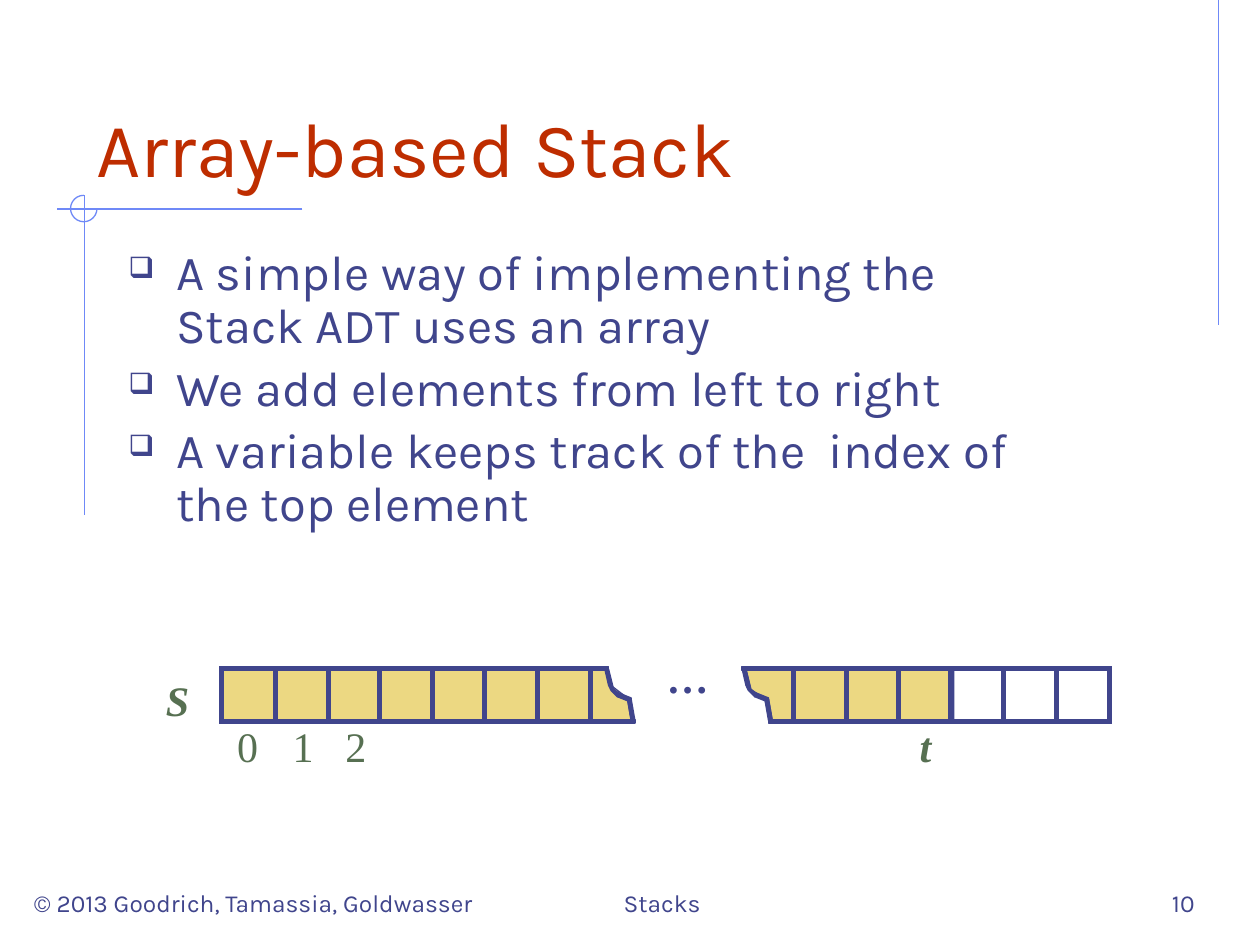
"""Builds a slide that explains a stack kept in an array."""
from lxml.etree import SubElement
from pptx import Presentation
from pptx.dml.color import RGBColor
from pptx.enum.shapes import MSO_CONNECTOR, MSO_SHAPE
from pptx.enum.text import MSO_ANCHOR, PP_ALIGN
from pptx.oxml.ns import qn
from pptx.util import Pt

PX = 9144
HUES = {"ink": "40458C", "title": "BE2D00", "rule": "6F89F7", "cell": "ECD882", "label": "577052"}
hue = {name: RGBColor.from_string(code) for name, code in HUES.items()}

deck = Presentation()
deck.slide_width, deck.slide_height = 1000 * PX, 750 * PX
slide = deck.slides.add_slide(deck.slide_layouts[6])
shapes = slide.shapes


def paint(shape, fill="ink", line="ink"):
    shape.shadow.inherit = False
    if fill:
        shape.fill.solid()
        shape.fill.fore_color.rgb = hue[fill]
    else:
        shape.fill.background()
    shape.line.color.rgb = hue[line]
    shape.line.width = Pt(0.75)


def write(box, lines, size, color="ink", face="Karla", align=PP_ALIGN.LEFT,
          anchor=MSO_ANCHOR.BOTTOM, inset=True, bold=False, slant=False):
    frame = shapes.add_textbox(*[n * PX for n in box]).text_frame
    frame.word_wrap = True
    frame.vertical_anchor = anchor
    if not inset:
        frame.margin_left = frame.margin_right = frame.margin_top = frame.margin_bottom = 0
    frame.text = "\n".join(lines)
    for para in frame.paragraphs:
        para.alignment = align
        font = para.font
        font.name, font.size = face, Pt(size)
        font.bold, font.italic = bold, slant
        font.color.rgb = hue[color]
    return frame


for ends in [(967, 0, 967, 258), (240, 166, 45, 166), (67, 155, 67, 409)]:
    rule = shapes.add_connector(MSO_CONNECTOR.STRAIGHT, *[n * PX for n in ends])
    rule.line.color.rgb = hue["rule"]
    rule.line.width = Pt(0.75)
    SubElement(rule._element.spPr, qn("a:effectLst"))

arc = shapes.add_shape(MSO_SHAPE.ARC, 56 * PX, 155 * PX, 21 * PX, 21 * PX)
arc.adjustments[0], arc.adjustments[1] = 0, 162
paint(arc, None, "rule")

write((392, 683, 267, 50), ["Stacks"], 14, align=PP_ALIGN.CENTER)
write((750, 683, 208, 50), ["10"], 14, align=PP_ALIGN.RIGHT)
write((17, 683, 375, 50), ["© 2013 Goodrich, Tamassia, Goldwasser"], 14)
write((67, 33, 850, 125), ["Array-based Stack"], 44, "title")

points = [
    "A simple way of implementing the Stack ADT uses an array",
    "We add elements from left to right",
    "A variable keeps track of the  index of the top element",
]
body = write((92, 192, 758, 367), points, 28, anchor=MSO_ANCHOR.TOP)
for para in body.paragraphs:
    para.line_spacing = 0.9
    para.space_before = Pt(5.6)
    props = para._p.get_or_add_pPr()
    props.set("marL", str(38 * PX))
    props.set("indent", str(-38 * PX))
    tint = SubElement(props, qn("a:buClr"))
    SubElement(tint, qn("a:srgbClr"), val=HUES["ink"])
    SubElement(props, qn("a:buSzPct"), val="60000")
    SubElement(props, qn("a:buChar"), char="❑")
    props.append(props.find(qn("a:defRPr")))

right = [(757, 572), (757, 531), (592, 531), (596, 548), (610, 555), (613, 572)]
left = [(175, 531), (175, 572), (501, 572), (498, 554), (485, 544), (482, 531)]
tear = [
    [(483, 531), (486, 543), (487, 547), (491, 550), (490, 553), (485, 548), (483, 544), (480, 531)],
    [(491, 550), (501, 554), (501, 555), (498, 555), (500, 557), (490, 553)],
    [(501, 555), (498, 555), (501, 572), (504, 572)],
]
parts = [(right, "cell"), (left, "cell")]
for shift in (0, 109):
    parts += [([(x + shift, y) for x, y in part], "ink") for part in tear]
for part, fill in parts:
    pen = shapes.build_freeform(*part[0], scale=PX)
    pen.add_line_segments(part[1:], close=True)
    paint(pen.convert_to_shape(), fill)

bars = [(174, 529, 309, 3), (174, 529, 3, 45), (174, 571, 330, 3),
        (589, 529, 293, 3), (879, 529, 3, 45), (610, 571, 272, 3)]
splits = [217 + round(41.6 * i) for i in range(7)]
splits += [628 + round(41.8 * i) for i in range(6)]
bars += [(x, 529, 3, 44) for x in splits]
for bar in bars:
    paint(shapes.add_shape(MSO_SHAPE.RECTANGLE, *[n * PX for n in bar]))

labels = [
    ("S", 125, 535, 32, "label", True, True),
    ("0", 188, 572, 17, "label", False, False),
    ("1", 232, 572, 17, "label", False, False),
    ("2", 274, 572, 17, "label", False, False),
    ("t", 719, 572, 31, "label", True, True),
    ("…", 529, 517, 33, "ink", True, False),
]
for text, x, y, wide, color, bold, slant in labels:
    write((x, y, wide, 40), [text], 24, color, "Times New Roman", PP_ALIGN.CENTER,
          MSO_ANCHOR.TOP, False, bold, slant)

deck.save("out.pptx")
